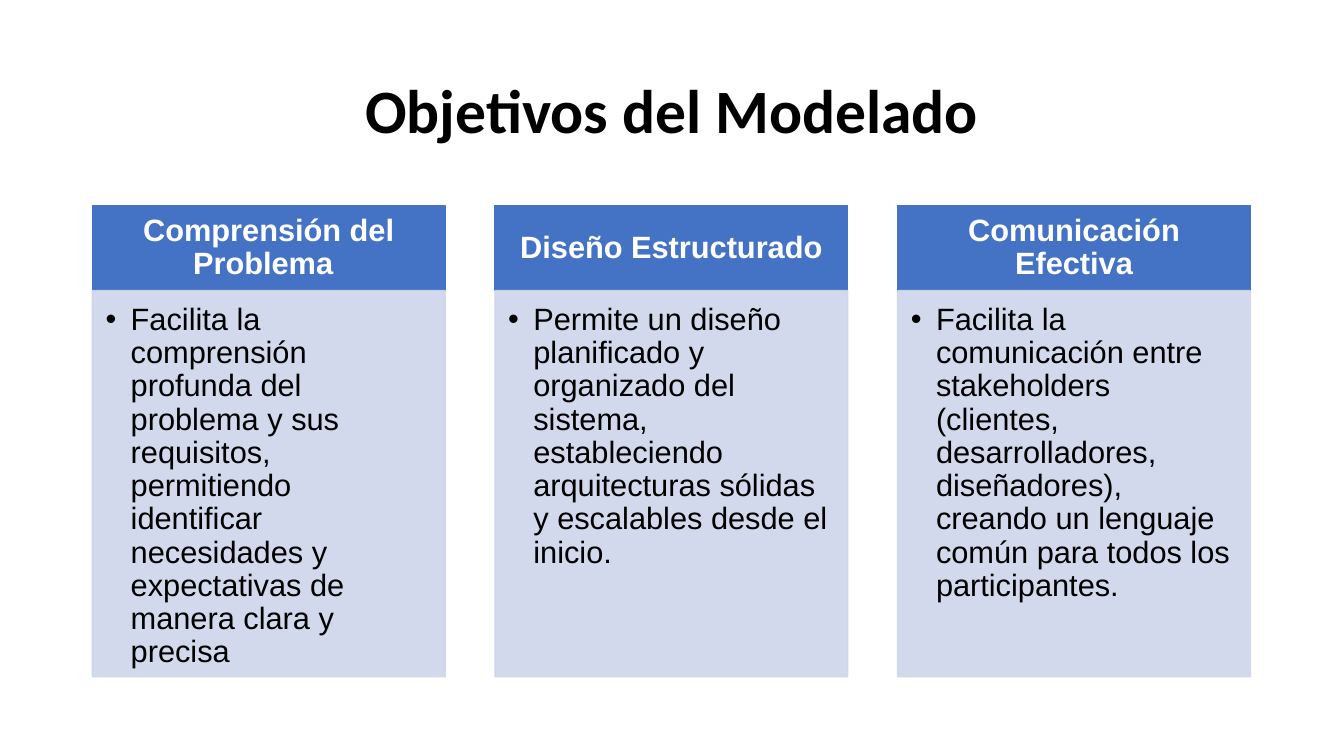
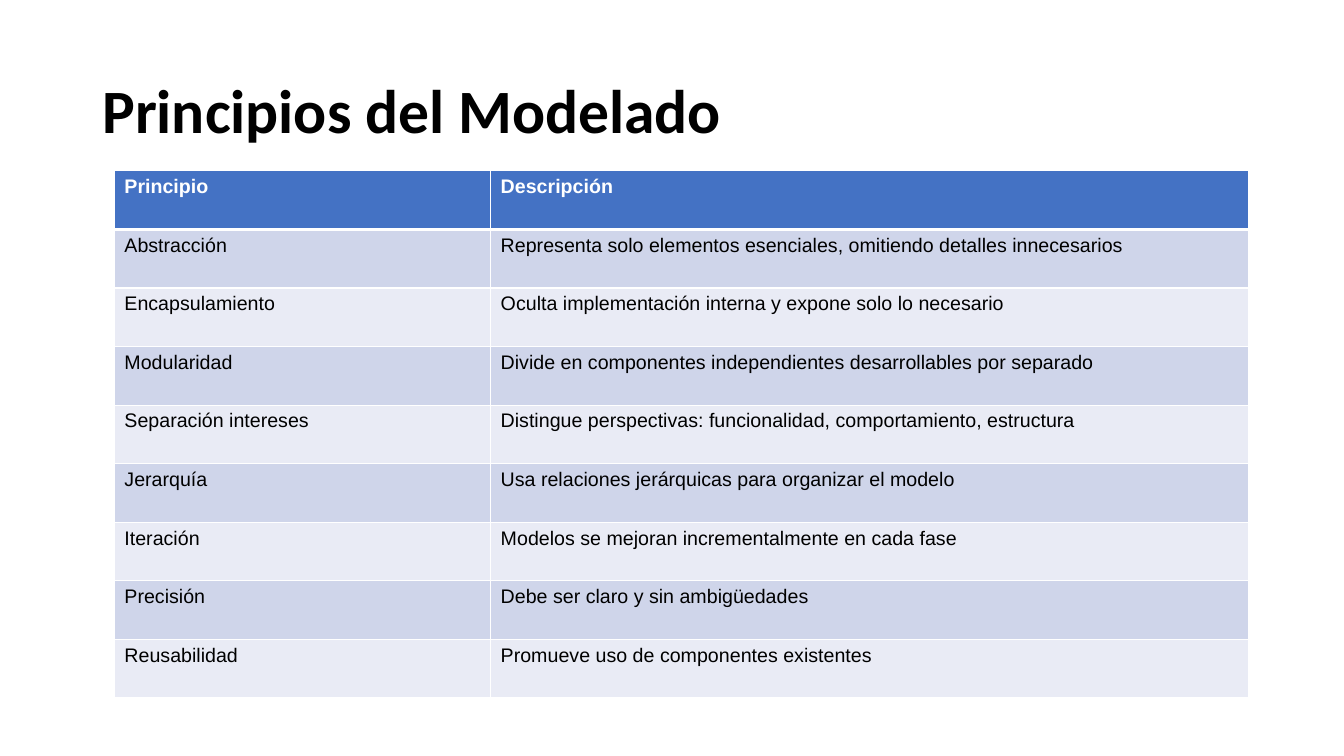
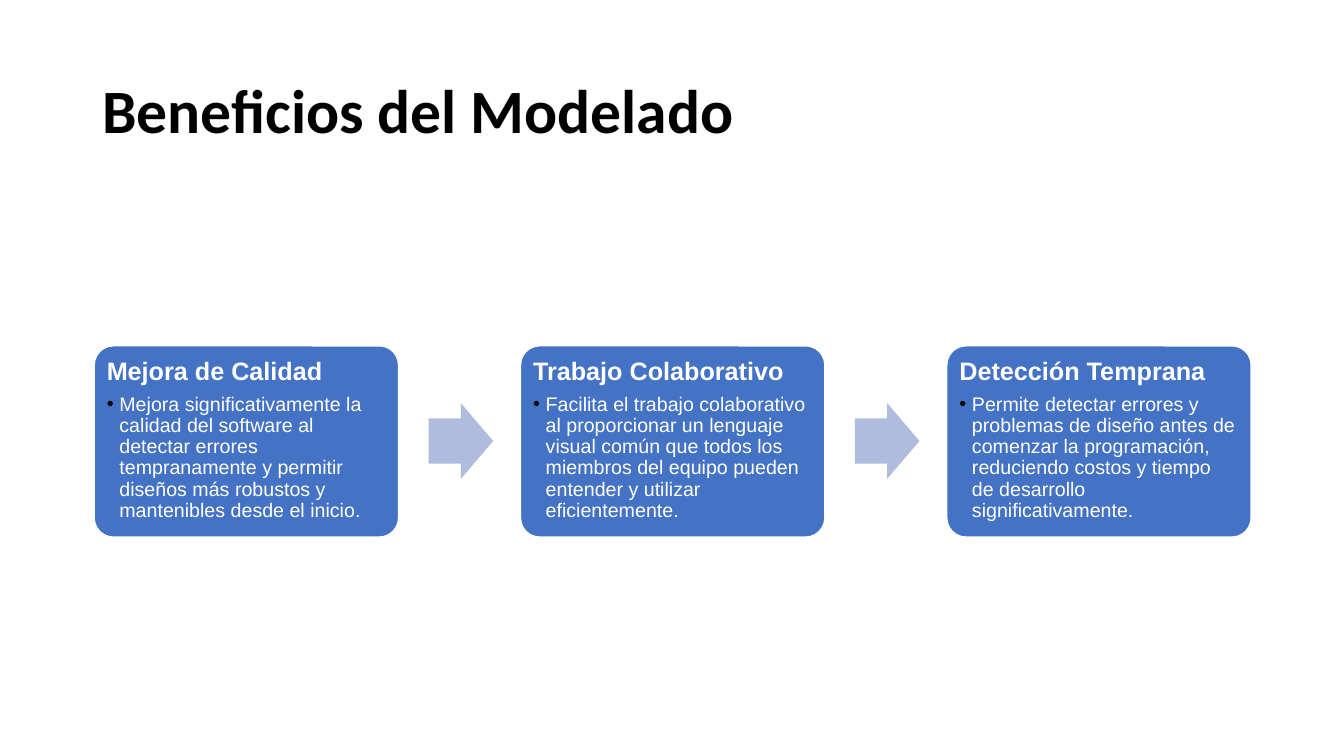
from lxml import etree
from pptx import Presentation
from pptx.dml.color import RGBColor
from pptx.enum.shapes import MSO_SHAPE
from pptx.enum.text import MSO_ANCHOR, PP_ALIGN
from pptx.oxml.ns import qn
from pptx.util import Pt

RECT, ROUND, ARROW = MSO_SHAPE.RECTANGLE, MSO_SHAPE.ROUNDED_RECTANGLE, MSO_SHAPE.RIGHT_ARROW
TOP, MIDDLE = MSO_ANCHOR.TOP, MSO_ANCHOR.MIDDLE
LEFT, CENTER = PP_ALIGN.LEFT, PP_ALIGN.CENTER

BLACK = RGBColor(0x00, 0x00, 0x00)
WHITE = RGBColor(0xFF, 0xFF, 0xFF)
BLUE = RGBColor(0x44, 0x72, 0xC4)
PALE = RGBColor(0xCF, 0xD5, 0xEA)
PALER = RGBColor(0xE9, 0xEB, 0xF5)
ARROW_BLUE = RGBColor(0xB0, 0xBC, 0xDE)

OBJECTIVES = [
    ("Comprensión del Problema\t",
     "Facilita la comprensión profunda del problema y sus requisitos, permitiendo "
     "identificar necesidades y expectativas de manera clara y precisa"),
    ("Diseño Estructurado",
     "Permite un diseño planificado y organizado del sistema, estableciendo "
     "arquitecturas sólidas y escalables desde el inicio."),
    ("Comunicación Efectiva",
     "Facilita la comunicación entre stakeholders (clientes, desarrolladores, "
     "diseñadores), creando un lenguaje común para todos los participantes."),
]
PRINCIPLES = [
    ("Principio", "Descripción"),
    ("Abstracción", "Representa solo elementos esenciales, omitiendo detalles innecesarios"),
    ("Encapsulamiento", "Oculta implementación interna y expone solo lo necesario"),
    ("Modularidad", "Divide en componentes independientes desarrollables por separado"),
    ("Separación intereses", "Distingue perspectivas: funcionalidad, comportamiento, estructura"),
    ("Jerarquía", "Usa relaciones jerárquicas para organizar el modelo"),
    ("Iteración", "Modelos se mejoran incrementalmente en cada fase"),
    ("Precisión", "Debe ser claro y sin ambigüedades"),
    ("Reusabilidad", "Promueve uso de componentes existentes"),
]
BENEFITS = [
    ("Mejora de Calidad",
     "Mejora significativamente la calidad del software al detectar errores "
     "tempranamente y permitir diseños más robustos y mantenibles desde el inicio."),
    ("Trabajo Colaborativo",
     "Facilita el trabajo colaborativo al proporcionar un lenguaje visual común que "
     "todos los miembros del equipo pueden entender y utilizar eficientemente."),
    ("Detección Temprana",
     "Permite detectar errores y problemas de diseño antes de comenzar la programación, "
     "reduciendo costos y tiempo de desarrollo significativamente."),
]


# Text
def write(tf, text, size=14, color=BLACK, bold=False, font="Arial", align=LEFT,
          spacing=0.9, after=0, bullet_indent=0):
    """Fill the empty first paragraph, or add another one."""
    p = tf.paragraphs[0] if not tf.text else tf.add_paragraph()
    p.alignment, p.line_spacing, p.space_after = align, spacing, Pt(after)
    if bullet_indent:
        pPr = p._p.get_or_add_pPr()
        pPr.set("marL", str(Pt(bullet_indent)))
        pPr.set("indent", str(-Pt(bullet_indent)))
        bullet_color = etree.SubElement(pPr, qn("a:buClr"))
        etree.SubElement(bullet_color, qn("a:srgbClr"), val=str(BLACK))
        etree.SubElement(pPr, qn("a:buFont"), typeface="Arial")
        etree.SubElement(pPr, qn("a:buChar"), char="•")
    r = p.add_run()
    r.text = text
    r.font.name, r.font.size, r.font.bold = font, Pt(size), bold
    r.font.color.rgb = color


def set_frame(tf, anchor, left, top, right, bottom):
    tf.word_wrap, tf.vertical_anchor = True, anchor
    tf.margin_left, tf.margin_top = Pt(left), Pt(top)
    tf.margin_right, tf.margin_bottom = Pt(right), Pt(bottom)


# Slide with its title
def add_slide(prs, title, align=LEFT):
    s = prs.slides.add_slide(prs.slide_layouts[6])
    tf = s.shapes.add_textbox(Pt(66), Pt(28.75), Pt(828), Pt(104.4)).text_frame
    set_frame(tf, MIDDLE, 7.2, 3.6, 7.2, 3.6)
    write(tf, title, size=44, bold=True, font="Calibri", align=align)
    return s


# Preset shape
def add_shape(s, kind, x, y, w, h, fill, line=None, adjust=(), alpha=None):
    sp = s.shapes.add_shape(kind, Pt(x), Pt(y), Pt(w), Pt(h))
    sp.shadow.inherit = False
    for i, value in enumerate(adjust):
        sp.adjustments[i] = value
    sp.fill.solid()
    sp.fill.fore_color.rgb = fill
    if line is None:
        sp.line.fill.background()
    else:
        sp.line.color.rgb, sp.line.width = line, Pt(1)
    if alpha:
        for color in sp._element.spPr.iter(qn("a:srgbClr")):
            etree.SubElement(color, qn("a:alpha"), val=str(alpha * 1000))
    return sp


# Heading band over a bulleted panel
def add_panel(s, x, heading, body):
    tf = add_shape(s, RECT, x, 146.9, 252, 60.7, BLUE, BLUE).text_frame
    set_frame(tf, MIDDLE, 12.3, 7, 12.3, 7)
    write(tf, heading, size=22, color=WHITE, bold=True, align=CENTER)
    tf = add_shape(s, RECT, x, 207.6, 252, 275.8, PALE, PALE, alpha=90).text_frame
    set_frame(tf, TOP, 9.4, 9.4, 12.5, 14)
    write(tf, body, size=22, bullet_indent=18)


# Rounded card with heading and bullet
def add_card(s, x, heading, body):
    tf = add_shape(s, ROUND, x, 247, 217.4, 136.6, BLUE, WHITE, adjust=[0.1]).text_frame
    set_frame(tf, TOP, 5, 5, 5, 5)
    write(tf, heading, size=18, color=WHITE, bold=True, after=6.3)
    write(tf, body, color=WHITE, bullet_indent=9)


# Table
def add_borders(cell, **widths):
    tcPr = cell._tc.get_or_add_tcPr()
    for side in "LRTB":
        ln = etree.SubElement(tcPr, qn("a:ln" + side), w=str(Pt(widths.get(side, 1))))
        fill = etree.SubElement(ln, qn("a:solidFill"))
        etree.SubElement(fill, qn("a:srgbClr"), val=str(WHITE))


def add_table(s, x, y, rows, col_widths, row_height):
    table = s.shapes.add_table(len(rows), len(col_widths), Pt(x), Pt(y),
                               Pt(sum(col_widths)), Pt(row_height * len(rows))).table
    for column, width in zip(table.columns, col_widths):
        column.width = Pt(width)
    for i, texts in enumerate(rows):
        table.rows[i].height = Pt(row_height)
        header = i == 0
        fill = BLUE if header else PALE if i % 2 else PALER
        for j, text in enumerate(texts):
            cell = table.cell(i, j)
            add_borders(cell, B=3 if header else 1, T=3 if i == 1 else 1)
            cell.fill.solid()
            cell.fill.fore_color.rgb = fill
            write(cell.text_frame, text, color=WHITE if header else BLACK,
                  bold=header, spacing=1.0)


def main():
    prs = Presentation()
    prs.slide_width, prs.slide_height = Pt(960), Pt(540)

    # Objectives
    s = add_slide(prs, "Objetivos del Modelado", align=CENTER)
    for i, (heading, body) in enumerate(OBJECTIVES):
        add_panel(s, 66 + 287.6 * i, heading, body)

    # Principles
    s = add_slide(prs, "Principios del Modelado")
    add_table(s, 81.7, 122, PRINCIPLES, [268.8, 541.4], 41.85)

    # Benefits, joined by arrows
    s = add_slide(prs, "Beneficios del Modelado")
    for i, (heading, body) in enumerate(BENEFITS):
        x = 67.3 + 304.5 * i
        if i:
            add_shape(s, ARROW, x - 65.6, 288, 46.1, 54, ARROW_BLUE, adjust=[0.6, 0.5])
        add_card(s, x, heading, body)

    prs.save("out.pptx")


if __name__ == "__main__":
    main()
